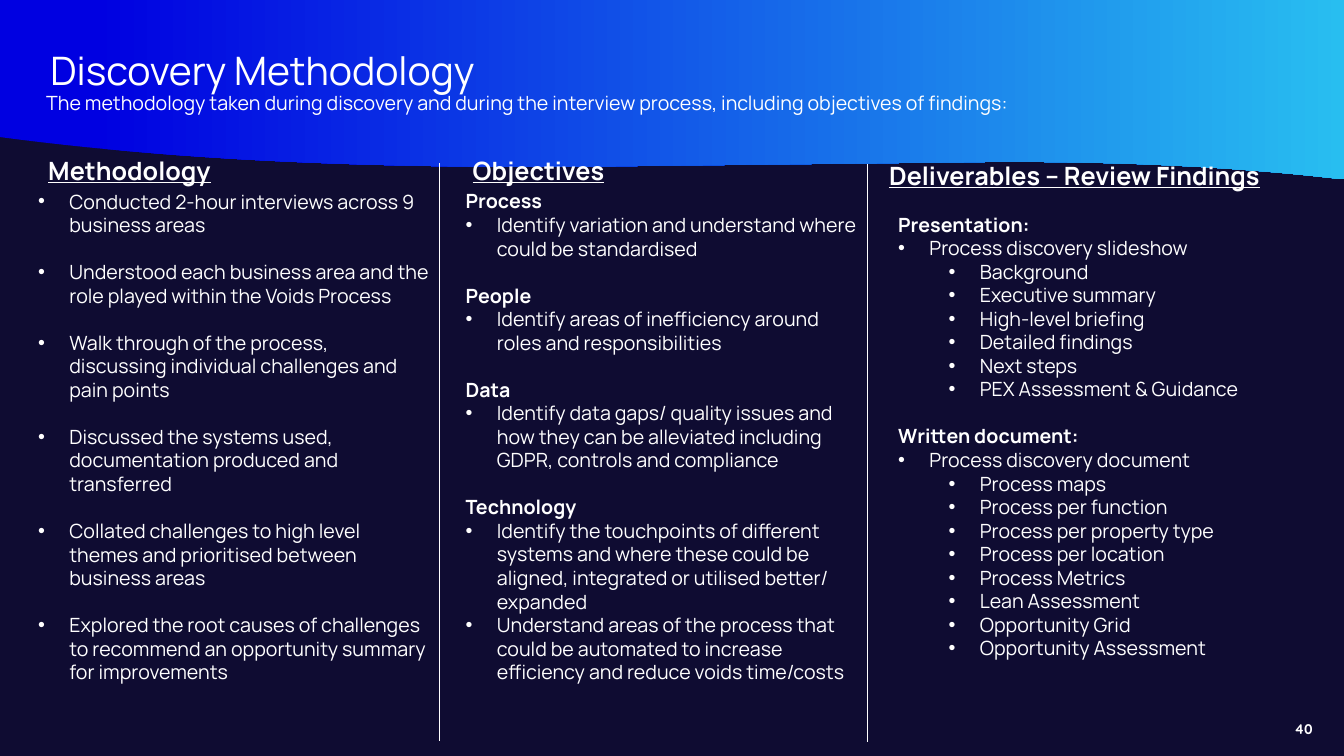
import pptx
import pptx.util
import pptx.dml.color
import pptx.enum.shapes
import pptx.enum.text
import pptx.oxml.ns
from lxml import etree

Inches = pptx.util.Inches
Pt = pptx.util.Pt
RGBColor = pptx.dml.color.RGBColor
ALIGN = pptx.enum.text.PP_ALIGN

NAVY = RGBColor(0x0F, 0x0C, 0x32)
BLUE = RGBColor(0x00, 0x00, 0xE1)
CYAN = RGBColor(0x28, 0xBE, 0xF0)
WHITE = RGBColor(0xFF, 0xFF, 0xFF)
FONT = "Manrope"
GAP = Pt(16.8)
HEADING, BULLET, SUB_BULLET = "heading", "bullet", "sub-bullet"
INDENTS = {BULLET: 0.31, SUB_BULLET: 0.81}

METHODOLOGY = [
    [(BULLET, "Conducted 2-hour interviews across 9 business areas")],
    [(BULLET, "Understood each business area and the role played within the Voids Process")],
    [(BULLET, "Walk through of the process, discussing individual challenges and pain points")],
    [(BULLET, "Discussed the systems used, documentation produced and transferred")],
    [(BULLET, "Collated challenges to high level themes and prioritised between business areas")],
    [(BULLET, "Explored the root causes of challenges to recommend an opportunity summary "
              "for improvements")],
]
OBJECTIVES = [
    [(HEADING, "Process"),
     (BULLET, "Identify variation and understand where could be standardised")],
    [(HEADING, "People"),
     (BULLET, "Identify areas of inefficiency around roles and responsibilities")],
    [(HEADING, "Data"),
     (BULLET, "Identify data gaps/ quality issues and how they can be alleviated including "
              "GDPR, controls and compliance")],
    [(HEADING, "Technology"),
     (BULLET, "Identify the touchpoints of different systems and where these could be aligned, "
              "integrated or utilised better/ expanded"),
     (BULLET, "Understand areas of the process that could be automated to increase efficiency "
              "and reduce voids time/costs")],
]
PRESENTATION_PARTS = ["Background", "Executive summary", "High-level briefing",
                      "Detailed findings", "Next steps", "PEX Assessment & Guidance"]
DOCUMENT_PARTS = ["Process maps", "Process per function", "Process per property type",
                  "Process per location", "Process Metrics", "Lean Assessment",
                  "Opportunity Grid", "Opportunity Assessment"]
DELIVERABLES = [
    [(HEADING, "Presentation:"), (BULLET, "Process discovery slideshow")]
    + [(SUB_BULLET, part) for part in PRESENTATION_PARTS],
    [(HEADING, "Written document:"), (BULLET, "Process discovery document")]
    + [(SUB_BULLET, part) for part in DOCUMENT_PARTS],
]


def style(para, size, bold=False, underline=False, font=FONT):
    for span in para.runs:
        span.font.name = font
        span.font.size = Pt(size)
        span.font.bold = bold
        span.font.underline = underline
        span.font.color.rgb = WHITE


def add_box(page, left, top, width, height):
    box = page.shapes.add_textbox(Inches(left), Inches(top), Inches(width), Inches(height))
    box.text_frame.word_wrap = True
    box.text_frame.auto_size = pptx.enum.text.MSO_AUTO_SIZE.SHAPE_TO_FIT_TEXT
    return box


def add_label(page, text, left, top, width, height, size, **look):
    box = add_box(page, left, top, width, height)
    box.text_frame.text = text
    style(box.text_frame.paragraphs[0], size, **look)
    return box


def add_bullet(para, kind):
    properties = para._p.get_or_add_pPr()
    properties.set("marL", str(Inches(INDENTS[kind])))
    properties.set("indent", str(-Inches(INDENTS[BULLET])))
    for tag, name, value in (("a:buFont", "typeface", "Arial"), ("a:buChar", "char", "•")):
        etree.SubElement(properties, pptx.oxml.ns.qn(tag)).set(name, value)
    para.level = int(kind == SUB_BULLET)


def add_column(page, groups, left, top, height):
    frame = add_box(page, left, top, 4.08, height).text_frame
    para = frame.paragraphs[0]
    for group_index, group in enumerate(groups):
        for item_index, (kind, text) in enumerate(group):
            if group_index or item_index:
                para = frame.add_paragraph()
            para.text = text
            if kind != HEADING:
                add_bullet(para, kind)
            if group_index and item_index == 0:
                para.space_before = GAP
            style(para, 14, bold=kind == HEADING)


def add_divider(page, left, top):
    line = page.shapes.add_connector(pptx.enum.shapes.MSO_CONNECTOR.STRAIGHT, Inches(left),
                                     Inches(top), Inches(left), Inches(top + 5.73))
    line.line.color.rgb = WHITE
    line.line.width = Pt(0.5)
    etree.SubElement(line._element.spPr, pptx.oxml.ns.qn("a:effectLst"))


def curve_points(start, first, second, end, steps=24):
    points = []
    for step in range(steps + 1):
        t = step / steps
        weights = ((1 - t) ** 3, 3 * t * (1 - t) ** 2, 3 * t * t * (1 - t), t ** 3)
        points.append(tuple(sum(w * p[axis] for w, p in zip(weights, (start, first, second, end)))
                            for axis in (0, 1)))
    return points


def add_wave(page):
    outline = curve_points((13.33, 1.78), (12.24, 1.65), (10.96, 1.59), (9.54, 1.61))
    outline += curve_points((6.08, 1.65), (3.66, 1.68), (1.65, 1.58), (0, 1.36))
    outline += [(0, 0), (13.33, 0)]
    corners = [(Inches(x), Inches(y)) for x, y in outline]
    builder = page.shapes.build_freeform(*corners[0])
    builder.add_line_segments(corners[1:], close=True)
    wave = builder.convert_to_shape()
    wave.shadow.inherit = False
    wave.line.fill.background()
    wave.fill.gradient()
    wave.fill.gradient_angle = 0
    for stop, position, color in zip(wave.fill.gradient_stops, (0.07, 1), (BLUE, CYAN)):
        stop.position = position
        stop.color.rgb = color
    page.shapes._spTree.insert(2, wave._element)


def set_title(page, text):
    title = page.shapes.title
    title.left, title.top = Inches(0.4), Inches(0.3)
    title.width, title.height = Inches(11.52), Inches(0.84)
    frame = title.text_frame
    frame.text = text
    frame.auto_size = pptx.enum.text.MSO_AUTO_SIZE.NONE
    frame.vertical_anchor = pptx.enum.text.MSO_ANCHOR.MIDDLE
    para = frame.paragraphs[0]
    para.alignment = ALIGN.LEFT
    para.line_spacing = 0.9
    style(para, 28)


def add_page_number(page, text):
    box = add_label(page, text, 12.14, 7.15, 0.88, 0.17, 10, bold=True, font="Quicksand")
    frame = box.text_frame
    frame.margin_left = frame.margin_right = frame.margin_top = frame.margin_bottom = 0
    frame.paragraphs[0].alignment = ALIGN.RIGHT


def main():
    deck = pptx.Presentation()
    deck.slide_width, deck.slide_height = Inches(13.33), Inches(7.5)
    page = deck.slides.add_slide(deck.slide_layouts[5])
    page.background.fill.solid()
    page.background.fill.fore_color.rgb = NAVY
    add_wave(page)
    set_title(page, "Discovery Methodology")
    add_label(page, "The methodology taken during discovery and during the interview process, "
                    "including objectives of findings:", 0.36, 0.85, 10.83, 0.34, 14)
    add_column(page, METHODOLOGY, 0.28, 1.83, 5.52)
    add_column(page, OBJECTIVES, 4.52, 1.83, 5.76)
    add_column(page, DELIVERABLES, 8.81, 2.06, 5.29)
    for text, left, top, width in (("Methodology", 0.38, 1.49, 2.39),
                                   ("Objectives", 4.59, 1.49, 2.39),
                                   ("Deliverables – Review Findings", 8.72, 1.54, 4.25)):
        add_label(page, text, left, top, width, 0.4, 18, bold=True, underline=True)
    add_divider(page, 4.36, 1.62)
    add_divider(page, 8.6, 1.63)
    add_page_number(page, "40")
    deck.save("out.pptx")


if __name__ == "__main__":
    main()
